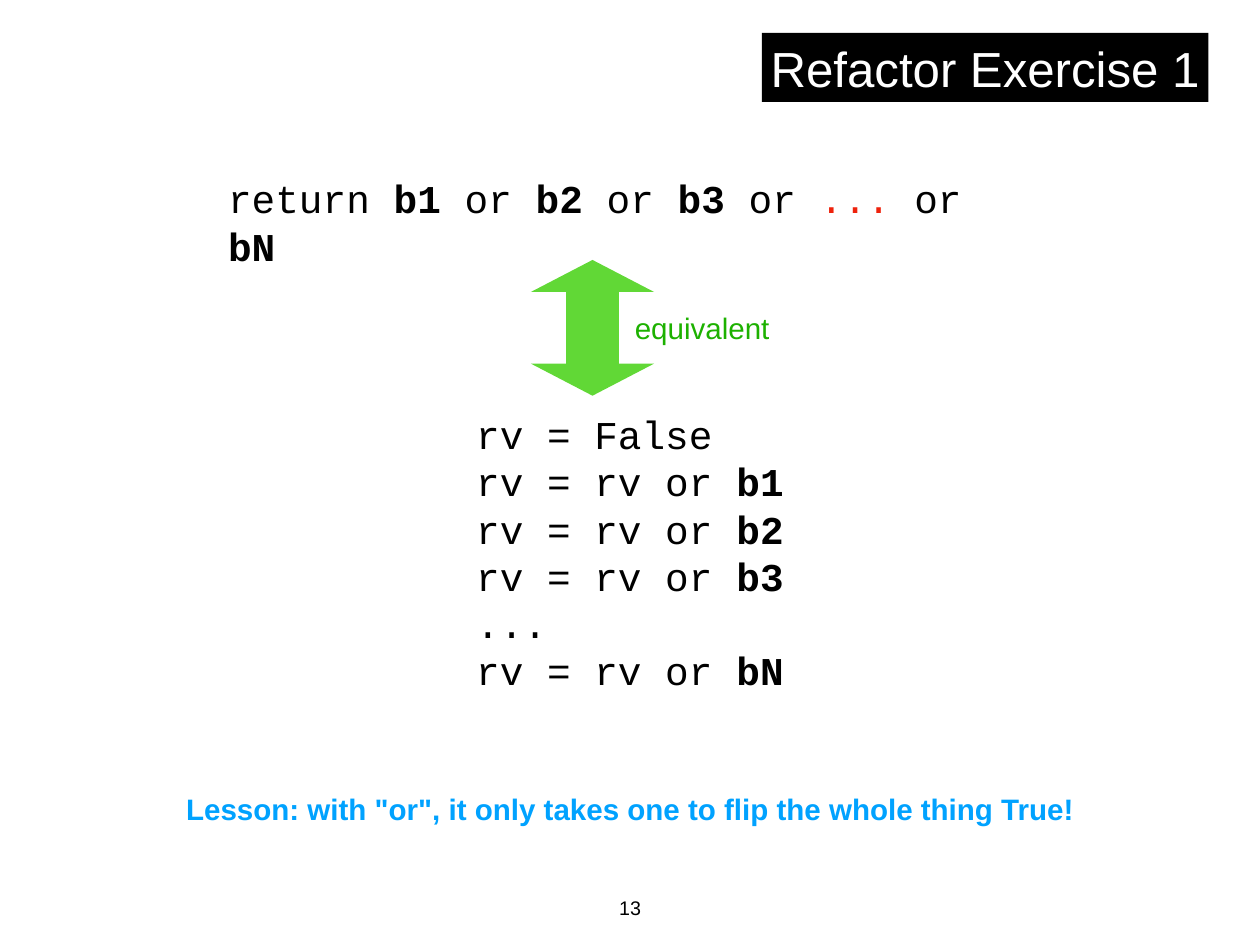
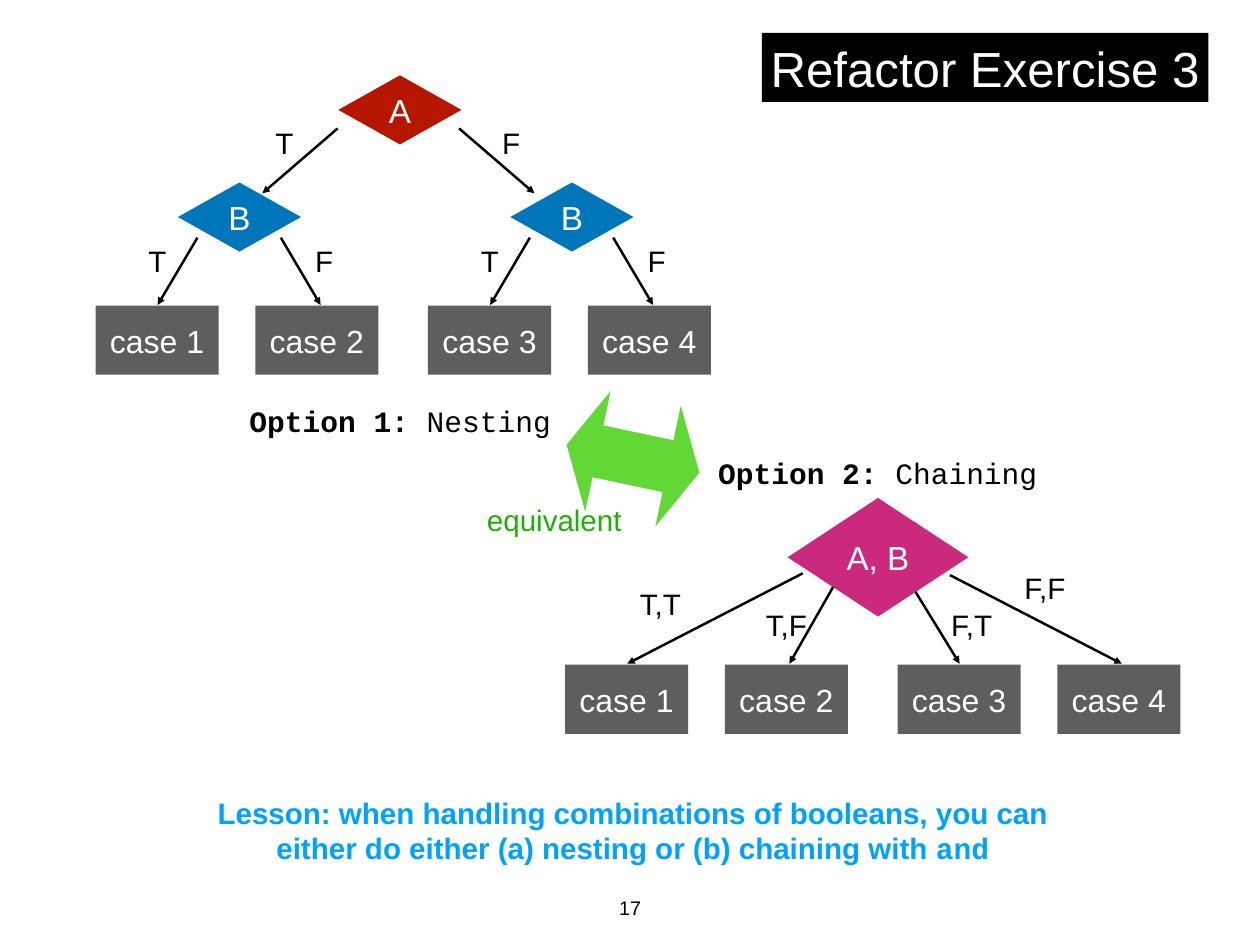
from pptx import Presentation
from pptx.dml.color import RGBColor
from pptx.enum.shapes import MSO_CONNECTOR, MSO_SHAPE
from pptx.enum.text import MSO_ANCHOR, PP_ALIGN
from pptx.oxml.ns import qn
from pptx.util import Cm, Pt
from lxml import etree

CENTER, LEFT = PP_ALIGN.CENTER, PP_ALIGN.LEFT
MIDDLE = MSO_ANCHOR.MIDDLE
STRAIGHT = MSO_CONNECTOR.STRAIGHT
RECTANGLE, DIAMOND = MSO_SHAPE.RECTANGLE, MSO_SHAPE.DIAMOND
DOUBLE_ARROW = MSO_SHAPE.LEFT_RIGHT_ARROW

COLORS = {
    "black": "000000",
    "white": "FFFFFF",
    "red": "EE220C",
    "lesson": "00A2FF",
    "arrow": "61D836",
    "equivalent": "1DB100",
    "case": "5E5E5E",
    "first test": "B51600",
    "second test": "0076BA",
    "joint test": "CB297B",
}
SANS, MONO = "Arial", "Courier New"

TITLE = {"name": SANS, "size": Pt(40), "color": "white"}
LESSON = {"name": SANS, "size": Pt(24), "color": "lesson", "bold": True}
LABEL = {"name": SANS, "size": Pt(24), "color": "black"}
EQUIVALENT = {**LABEL, "color": "equivalent"}
CAPTION = {**LABEL, "name": MONO}
NUMBER = {**LABEL, "size": Pt(16)}
TEST = {**TITLE, "size": Pt(27)}
CASE = {**TITLE, "size": Pt(26)}
CODE = {"name": MONO, "size": Pt(32), "color": "black"}
BOLD = {"bold": True}

INSET = Cm(0.14)
NODE_SIZE = (3.53, 1.98)
JOINT_SIZE = (5.18, 3.4)
LABEL_HEIGHT = 1.3
PAIR_STEP, CASE_STEP = 9.53, 4.58


def color(name):
    return RGBColor.from_string(COLORS[name])


def style_font(font, style):
    for key, value in style.items():
        if key == "color":
            font.color.rgb = color(value)
        else:
            setattr(font, key, value)


def write(box, spans, style, align=CENTER, wrap=False, spacing=None):
    """Fill a box from (text, changes to the style) pairs; a newline breaks the line."""
    frame = box.text_frame
    settings = {"word_wrap": wrap, "vertical_anchor": MIDDLE}
    settings.update({f"margin_{side}": INSET for side in ("left", "top", "right", "bottom")})
    for key, value in settings.items():
        setattr(frame, key, value)
    para = frame.paragraphs[0]
    para.alignment = align
    para.line_spacing = spacing
    for text, changes in spans:
        for index, line in enumerate(text.split("\n")):
            if index:
                para.add_line_break()
            if line:
                span = para.add_run()
                span.text = line
                style_font(span.font, {**style, **changes})


def add_text(page, place, spans, style, **layout):
    box = page.shapes.add_textbox(*map(Cm, place))
    write(box, spans, style, **layout)


def add_label(page, left, top, text, style=LABEL, width=0.81):
    add_text(page, (left, top, width, LABEL_HEIGHT), [(text, {})], style)


def add_code(page, place, spans):
    add_text(page, place, spans, CODE, align=LEFT, wrap=True, spacing=Pt(38.4))


def add_figure(page, kind, place, fill):
    figure = page.shapes.add_shape(kind, *map(Cm, place))
    figure.shadow.inherit = False
    figure.fill.solid()
    figure.fill.fore_color.rgb = color(fill)
    figure.line.fill.background()
    return figure


def add_node(page, kind, place, fill, text, style):
    write(add_figure(page, kind, place, fill), [(text, {})], style)


def add_branch(page, start, end):
    branch = page.shapes.add_connector(STRAIGHT, *map(Cm, start + end))
    branch.line.color.rgb = color("black")
    branch.line.width = Pt(2)
    head = etree.SubElement(branch.line._get_or_add_ln(), qn("a:tailEnd"))
    head.set("type", "triangle")
    etree.SubElement(branch._element.spPr, qn("a:effectLst"))


def add_equivalence(page, arrow_at, rotation, label_at):
    arrow = add_figure(page, DOUBLE_ARROW, (*arrow_at, 3.89, 3.53), "arrow")
    arrow.adjustments[0], arrow.adjustments[1] = 0.43, 0.26
    arrow.rotation = rotation
    add_label(page, *label_at, "equivalent", EQUIVALENT, width=5.14)


def add_cases(page, left, top):
    """Draw two pairs of case boxes in a row."""
    for index in range(4):
        pair, member = divmod(index, 2)
        x = left + pair * PAIR_STEP + member * CASE_STEP
        add_node(page, RECTANGLE, (x, top, *NODE_SIZE), "case", f"case {index + 1}", CASE)


def add_page(deck, title, number):
    page = deck.slides.add_slide(deck.slide_layouts[6])
    add_text(page, (16.54, 25.5, 3.05, 1.04), [(number, {})], NUMBER)
    add_node(page, RECTANGLE, (21.84, 0.94, 12.8, 1.98), "black", title, TITLE)
    return page


def add_nested_tree(page):
    for start, end in (((9.68, 3.68), (7.52, 5.54)), ((13.16, 3.68), (15.32, 5.54))):
        add_branch(page, start, end)
    add_label(page, 7.75, 3.43, "T")
    add_label(page, 14.25, 3.43, "F")
    add_node(page, DIAMOND, (9.7, 2.16, *NODE_SIZE), "first test", "A", TEST)
    for shift in (0, PAIR_STEP):
        add_branch(page, (5.66 + shift, 6.81), (4.52 + shift, 8.74))
        add_branch(page, (8.05 + shift, 6.81), (9.19 + shift, 8.74))
        add_label(page, 4.11 + shift, 6.81, "T")
        add_label(page, 8.89 + shift, 6.81, "F")
        add_node(page, DIAMOND, (5.1 + shift, 5.23, *NODE_SIZE), "second test", "B", TEST)
    add_cases(page, 2.74, 8.76)


def add_chained_tree(page):
    branches = [
        ("T,T", (23.01, 16.43), 17.98, (18.06, 16.64)),
        ("T,F", (23.9, 16.79), 22.63, (21.67, 17.25)),
        ("F,T", (26.14, 16.79), 27.51, (26.98, 17.25)),
        ("F,F", (27.23, 16.48), 32.16, (29.08, 16.18)),
    ]
    for text, start, end_x, label_at in branches:
        add_branch(page, start, (end_x, 19.02))
        add_label(page, *label_at, text, width=1.75)
    add_node(page, DIAMOND, (22.58, 14.27, *JOINT_SIZE), "joint test", "A, B", TEST)
    add_cases(page, 16.2, 19.05)


def add_or_page(deck):
    page = add_page(deck, "Refactor Exercise 1", "13")
    chain = [("return ", {})]
    for name in ("b1", "b2", "b3"):
        chain += [(name, BOLD), (" or ", {})]
    chain += [("...", {"color": "red"}), (" or ", {}), ("bN", BOLD)]
    add_code(page, (6.4, 4.83, 22.8, 3.05), chain)

    steps = [("rv = False", {})]
    for name in ("b1", "b2", "b3", "bN"):
        gap = "\n...\n" if name == "bN" else "\n"
        steps += [(f"{gap}rv = rv or ", {}), (name, BOLD)]
    add_code(page, (13.51, 11.61, 9.5, 8.41), steps)

    lesson = 'Lesson: with "or", it only takes one to flip the whole thing True!'
    add_text(page, (4.16, 22.53, 27.8, 1.3), [(lesson, {})], LESSON)
    add_equivalence(page, (15.04, 7.63), 90, (17.56, 8.74))


def add_nesting_page(deck):
    page = add_page(deck, "Refactor Exercise 3", "17")
    lesson = [
        ("Lesson: when handling combinations of booleans, you can\n"
         "either do either (a) nesting or (b) chaining with ", {}),
        ("and", {"name": MONO}),
    ]
    add_text(page, (4.14, 22.63, 28, 2.31), lesson, LESSON)
    add_nested_tree(page)
    add_chained_tree(page)
    captions = [
        ((6.51, 11.4, 9.92), "Option 1: ", "Nesting"),
        ((19.66, 12.9, 11), "Option 2: ", "Chaining"),
    ]
    for (left, top, width), option, name in captions:
        spans = [(option, BOLD), (name, {})]
        add_text(page, (left, top, width, LABEL_HEIGHT), spans, CAPTION)
    add_equivalence(page, (16.2, 11.38), 191.9, (13.32, 14.25))


def main():
    deck = Presentation()
    deck.slide_width, deck.slide_height = Cm(36.12), Cm(27.08)
    add_or_page(deck)
    add_nesting_page(deck)
    deck.save("out.pptx")


if __name__ == "__main__":
    main()
